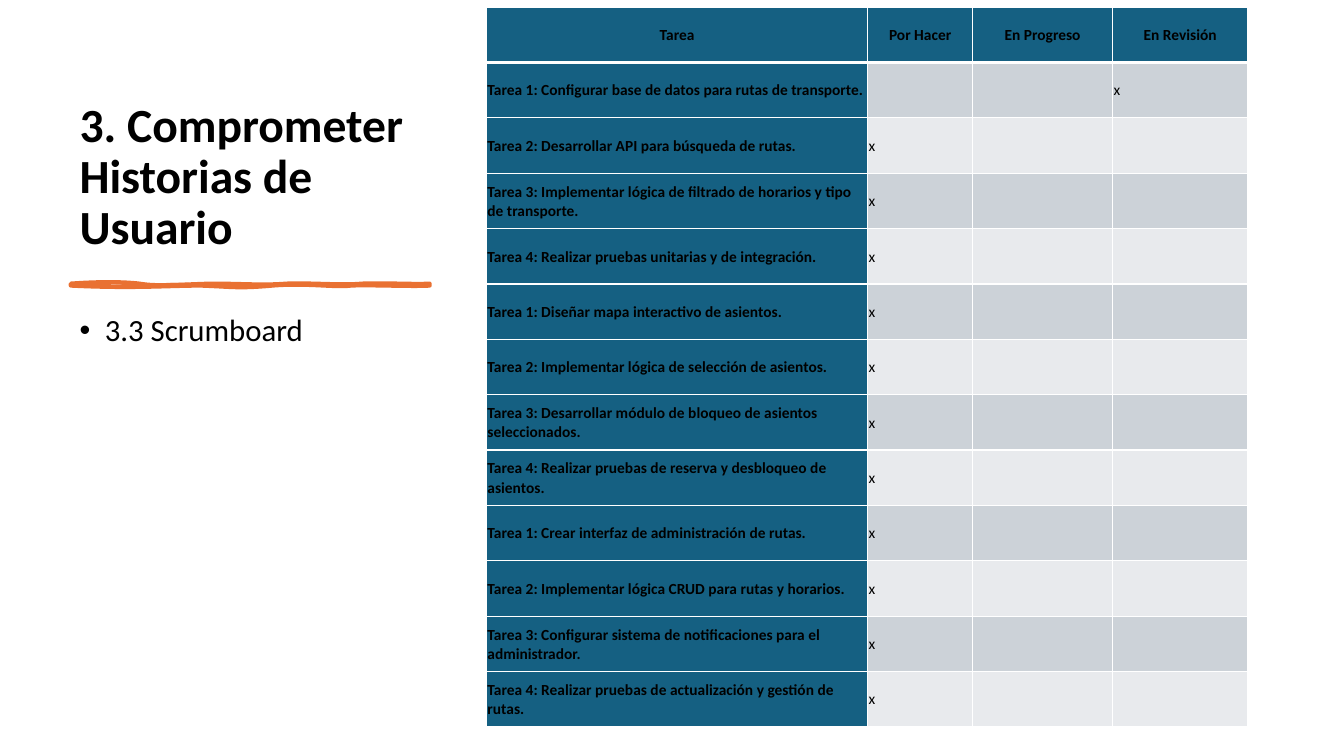
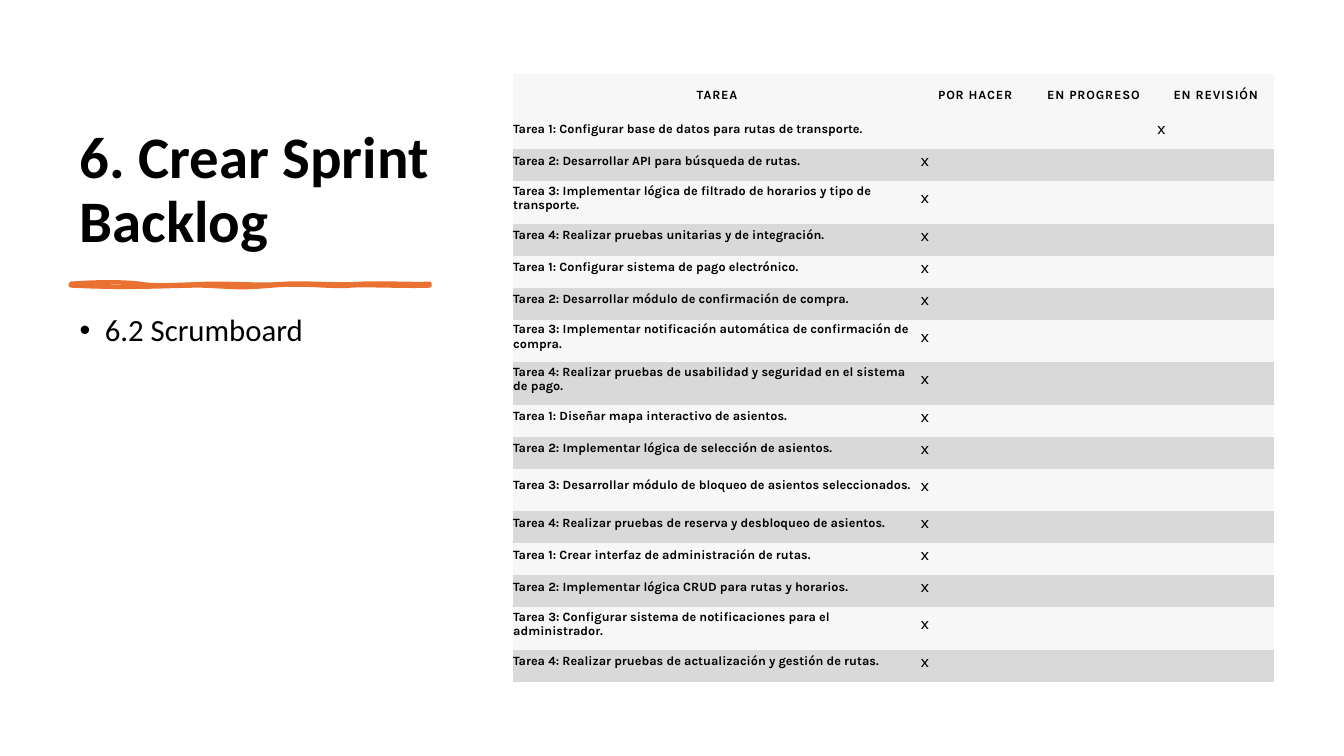
from dataclasses import dataclass

from lxml.etree import SubElement
from pptx import Presentation
from pptx.dml.color import RGBColor
from pptx.enum.text import MSO_ANCHOR as Anchor, PP_ALIGN as Align
from pptx.oxml.ns import qn
from pptx.slide import Slide
from pptx.table import _Cell as Cell
from pptx.util import Pt

COLORS = {
    "text": "000000",
    "accent": "E97132",
    "blue": "156082",
    "blue_band": "CCD2D8",
    "blue_pale": "E8EAED",
    "gray_band": "D9D9D9",
    "gray_pale": "F7F7F7",
    "grid": "FFFFFF",
}
TEXT_FONT = "Calibri"
BULLET_FONT = "Arial"
NO_STYLE = "{2D5ABB26-0587-4C30-8999-92F81FD0307C}"
HEADINGS = ("Tarea", "Por Hacer", "En Progreso", "En Revisión")
TODO, REVIEW = 1, 3

# Tasks of each user story
ROUTES = (
    "Configurar base de datos para rutas de transporte.",
    "Desarrollar API para búsqueda de rutas.",
    "Implementar lógica de filtrado de horarios y tipo de transporte.",
    "Realizar pruebas unitarias y de integración.",
)
PAYMENT = (
    "Configurar sistema de pago electrónico.",
    "Desarrollar módulo de confirmación de compra.",
    "Implementar notificación automática de confirmación de compra.",
    "Realizar pruebas de usabilidad y seguridad en el sistema de pago.",
)
SEATS = (
    "Diseñar mapa interactivo de asientos.",
    "Implementar lógica de selección de asientos.",
    "Desarrollar módulo de bloqueo de asientos seleccionados.",
    "Realizar pruebas de reserva y desbloqueo de asientos.",
)
ADMIN = (
    "Crear interfaz de administración de rutas.",
    "Implementar lógica CRUD para rutas y horarios.",
    "Configurar sistema de notificaciones para el administrador.",
    "Realizar pruebas de actualización y gestión de rutas.",
)

# Brush stroke under the title: Bézier segments (two controls, end), from its top left
STROKE_LEFT, STROKE_TOP, STROKE_WIDTH, STROKE_HEIGHT = 50.6, 202.6, 256.3, 1.44
STROKE_OUTLINE = (
    (19.4, -1.4, 36.7, -1.4, 49, 0), (61.2, 2.2, 77, 0.7, 100.1, 0),
    (123.1, 0, 136.8, 1.4, 154.1, 0), (171.4, -0.7, 193.7, 1.4, 208.1, 0),
    (222.5, -0.7, 246.2, 0.7, 256.3, 0), (256.3, 0.7, 256.3, 1.4, 256.3, 1.4),
    (243.4, 2.2, 211.7, 0.7, 200.2, 1.4), (188.6, 2.9, 168.5, -0.7, 144, 1.4),
    (118.8, 3.6, 115.9, 2.2, 92.9, 1.4), (69.1, 1.4, 44.6, 3.6, 0, 1.4),
    (0, 1.4, 0, 0.7, 0, 0),
)
STROKE_BODY = (
    (23, 2.2, 28.8, 0.7, 49, 0), (69.1, 0, 71.3, -1.4, 92.9, 0),
    (113.8, 2.2, 137.5, 1.4, 149, 0), (160.6, -0.7, 185, 2.2, 197.3, 0),
    (210.2, -1.4, 235.4, 2.9, 256.3, 0), (256.3, 0.7, 256.3, 1.4, 256.3, 1.4),
    (246.2, 1.4, 217.4, 3.6, 205.2, 1.4), (193, 0, 172.1, 2.2, 149, 1.4),
    (125.3, 1.4, 122.4, 0.7, 105.1, 1.4), (88.6, 2.9, 78.5, 1.4, 54, 1.4),
    (29.5, 2.2, 15.8, 1.4, 0, 1.4), (0, 1.4, 0, 0.7, 0, 0),
)


@dataclass(frozen=True)
class BoardStyle:
    font: str
    size: float
    mark_size: float
    head_fill: str
    task_fill: str | None  # None: follows the band of the row
    bands: tuple[str, str]
    head_insets: tuple[float, float, float, float]
    insets: tuple[float, float, float, float]
    grid: bool = False
    capitals: bool = False
    head_spacing: int = 0  # hundredths of a point


@dataclass(frozen=True)
class Board:
    title: str
    title_size: float
    subtitle: str
    left: float
    top: float
    columns: tuple[float, ...]
    row_height: float
    tall_height: float
    tall_rows: tuple[int, ...]
    stories: tuple[tuple[str, ...], ...]
    style: BoardStyle


BLUE_STYLE = BoardStyle(
    TEXT_FONT, 11, 11, "blue", "blue", ("blue_band", "blue_pale"),
    (0.7, 0.7, 0.7, 0), (0.7, 0.7, 0.7, 0), grid=True,
)
GRAY_STYLE = BoardStyle(
    "Karla", 9, 12, "gray_pale", None, ("gray_pale", "gray_band"),
    (8.6, 8.6, 8.6, 8.6), (0, 0, 0, 5.8), capitals=True, head_spacing=60,
)
BOARDS = (
    Board("3. Comprometer Historias de Usuario", 34, "3.3 Scrumboard", 347.5, 5.1,
          (272.3, 75, 100, 96.5), 39.55, 39.55, (), (ROUTES, SEATS, ADMIN), BLUE_STYLE),
    Board("6. Crear Sprint Backlog", 42, "6.2 Scrumboard", 366.6, 53.2,
          (291, 78, 91, 83.6), 22.85, 30.4, (0, 3, 7, 8, 11, 15),
          (ROUTES, PAYMENT, SEATS, ADMIN), GRAY_STYLE),
)


def rgb(name: str) -> RGBColor:
    return RGBColor.from_string(COLORS[name])


def add_text(page: Slide, text: str, top: float, height: float, size: float,
             bold: bool = False, anchor: Anchor = Anchor.TOP):
    """Add a text box in the left column and return its paragraph."""
    box = page.shapes.add_textbox(Pt(49.8), Pt(top), Pt(270), Pt(height))
    frame = box.text_frame
    frame.word_wrap = True
    frame.vertical_anchor = anchor
    para = frame.paragraphs[0]
    para.text = text
    para.line_spacing = 0.9
    para.font.name, para.font.size, para.font.bold = TEXT_FONT, Pt(size), bold
    para.font.color.rgb = rgb("text")
    return para


def add_bullet(para) -> None:
    para.space_before = Pt(10)
    props = para._p.get_or_add_pPr()
    props.set("marL", str(Pt(18)))
    props.set("indent", str(-Pt(18)))
    font_props = props.find(qn("a:defRPr"))
    for tag, attributes in (("a:buFont", {"typeface": BULLET_FONT}), ("a:buChar", {"char": "•"})):
        font_props.addprevious(props.makeelement(qn(tag), attributes))


def add_curve(paths, segments: tuple, **flags: str) -> None:
    """Append a closed Bézier path that starts at the top left."""
    curve = SubElement(paths, qn("a:path"), w=str(Pt(STROKE_WIDTH)),
                       h=str(Pt(STROKE_HEIGHT)), **flags)
    SubElement(SubElement(curve, qn("a:moveTo")), qn("a:pt"), x="0", y="0")
    for segment in segments:
        bezier = SubElement(curve, qn("a:cubicBezTo"))
        for x, y in zip(segment[::2], segment[1::2]):
            SubElement(bezier, qn("a:pt"), x=str(Pt(x)), y=str(Pt(y)))
    SubElement(curve, qn("a:close"))


def add_stroke(page: Slide) -> None:
    left, top = Pt(STROKE_LEFT), Pt(STROKE_TOP)
    right, bottom = left + Pt(STROKE_WIDTH), top + Pt(STROKE_HEIGHT)
    builder = page.shapes.build_freeform(left, top)
    builder.add_line_segments([(right, top), (right, bottom), (left, bottom)])
    stroke = builder.convert_to_shape()
    stroke.shadow.inherit = False
    stroke.fill.solid()
    stroke.fill.fore_color.rgb = stroke.line.color.rgb = rgb("accent")
    stroke.line.width = Pt(3)
    # Curves take the place of the straight outline
    paths = next(stroke._element.iter(qn("a:pathLst")))
    paths.remove(paths[0])
    add_curve(paths, STROKE_OUTLINE, fill="none")
    add_curve(paths, STROKE_BODY, stroke="0")


def set_borders(cell: Cell, top: float, bottom: float) -> None:
    props = cell._tc.get_or_add_tcPr()
    for index, (side, width) in enumerate(
            (("lnL", 1), ("lnR", 1), ("lnT", top), ("lnB", bottom))):
        line = props.makeelement(qn(f"a:{side}"), {"w": str(Pt(width))})
        SubElement(SubElement(line, qn("a:solidFill")), qn("a:srgbClr"), val=COLORS["grid"])
        props.insert(index, line)


def fill_cell(cell: Cell, text: str, row: int, column: int, style: BoardStyle) -> None:
    is_head, is_task = row == 0, column == 0
    band = style.bands[(row - 1) % 2]
    fill = style.head_fill if is_head else (is_task and style.task_fill) or band
    cell.fill.solid()
    cell.fill.fore_color.rgb = rgb(fill)
    cell.vertical_anchor = Anchor.MIDDLE
    insets = style.head_insets if is_head else style.insets
    cell.margin_left, cell.margin_top, cell.margin_right, cell.margin_bottom = map(Pt, insets)

    para = cell.text_frame.paragraphs[0]
    size = style.size if is_head or is_task or not text else style.mark_size
    para.font.name, para.font.size = style.font, Pt(size)
    para.font.bold = is_head or is_task
    para.font.color.rgb = rgb("text")
    if text:
        span = para.add_run()
        span.text = text
        if is_head:
            para.alignment = Align.CENTER
            span._r.get_or_add_rPr().set("spc", str(style.head_spacing))
    else:
        # Keeps an empty cell from stretching its row
        SubElement(para._p, qn("a:endParaRPr"), sz=str(int(size * 100)))
    if style.grid:
        set_borders(cell, 3 if row == 1 else 1, 3 if is_head else 1)


def board_rows(board: Board) -> list[list[str]]:
    heads = [h.upper() if board.style.capitals else h for h in HEADINGS]
    rows = [heads]
    for story in board.stories:
        for number, task in enumerate(story, start=1):
            row = [f"Tarea {number}: {task}", "", "", ""]
            row[REVIEW if len(rows) == 1 else TODO] = "x"
            rows.append(row)
    return rows


def add_board(page: Slide, board: Board) -> None:
    rows = board_rows(board)
    heights = [board.tall_height if index in board.tall_rows else board.row_height
               for index in range(len(rows))]
    frame = page.shapes.add_table(
        len(rows), len(HEADINGS), Pt(board.left), Pt(board.top),
        Pt(sum(board.columns)), Pt(sum(heights)))
    table = frame.table
    table.first_row = table.horz_banding = False
    table._tbl.tblPr.find(qn("a:tableStyleId")).text = NO_STYLE
    for column, width in zip(table.columns, board.columns):
        column.width = Pt(width)
    for index, (texts, height) in enumerate(zip(rows, heights)):
        table.rows[index].height = Pt(height)
        for column, text in enumerate(texts):
            fill_cell(table.cell(index, column), text, index, column, board.style)


def add_page(deck, board: Board) -> None:
    page = deck.slides.add_slide(deck.slide_layouts[6])
    # Title, brush stroke and subtitle
    add_text(page, board.title, 50.4, 135.4, board.title_size, True, Anchor.BOTTOM)
    add_stroke(page)
    add_bullet(add_text(page, board.subtitle, 221.4, 268.6, 22))
    # Scrumboard
    add_board(page, board)


def main() -> None:
    deck = Presentation()
    deck.slide_width, deck.slide_height = Pt(960), Pt(540)
    for board in BOARDS:
        add_page(deck, board)
    deck.save("out.pptx")


if __name__ == "__main__":
    main()
